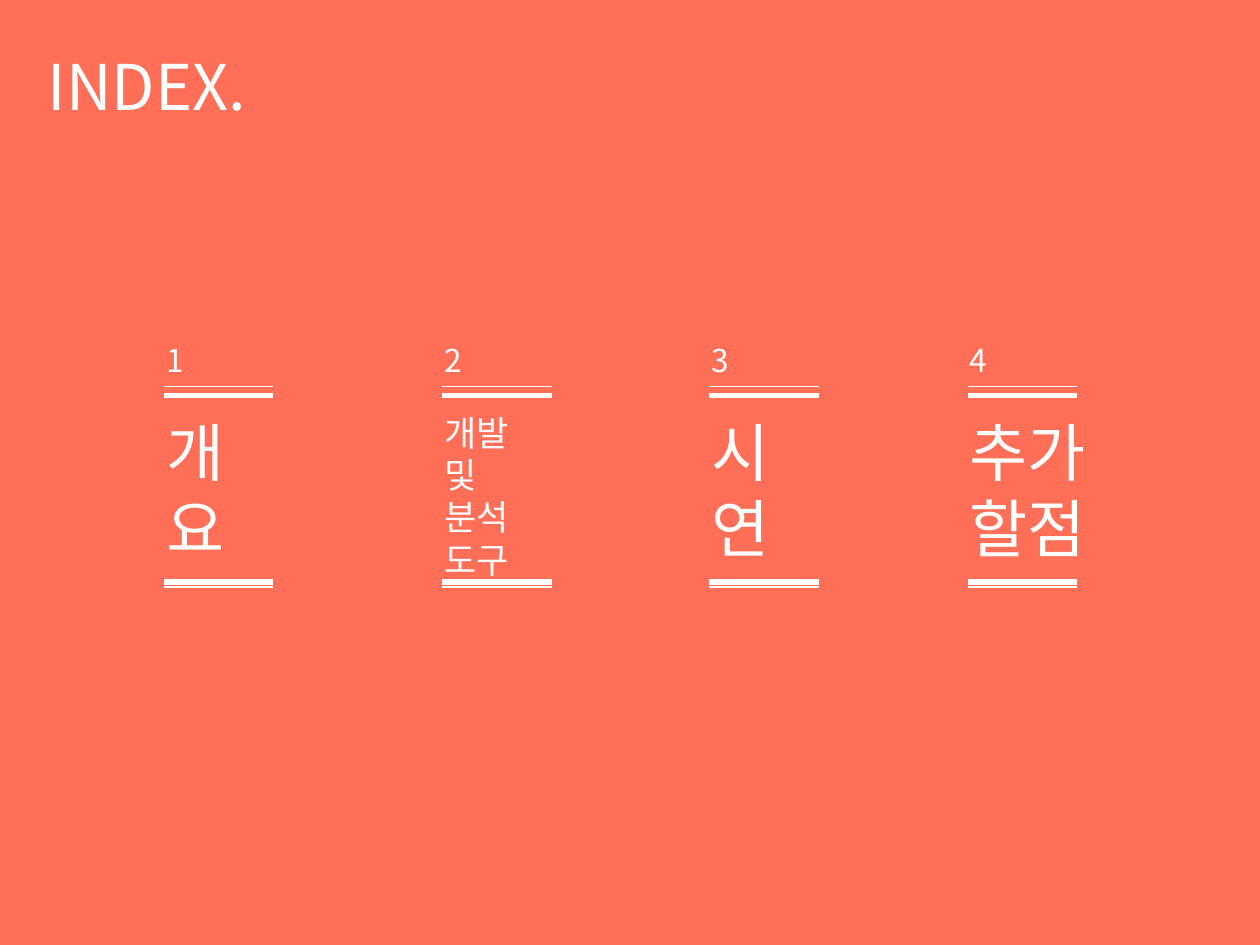
from lxml import etree
from pptx import Presentation, util as u
from pptx.dml.color import RGBColor
from pptx.enum import shapes
from pptx.oxml import ns

FONT = "Noto Sans CJK KR"
CORAL, WHITE = "FF6E57", "FFFFFF"
LEADING = 1.2
COLUMN_W, RULE_INSET, RULE_W = 1.26, 0.08, 0.87
COLUMN_TOP = 2.64
# Offset below the column top, line width
RULES = [(0.43, 0.75), (0.5, 3), (1.98, 3), (2.02, 0.75)]
# Left edge, text size, text height, lines
SECTIONS = [
    (1.22, 36, 1.31, ["개", "요"]),
    (3.43, 20, 1.45, ["개발", "및", "분석", "도구"]),
    (5.55, 36, 1.31, ["시", "연"]),
    (7.6, 36, 1.31, ["추가", "할점"]),
]


def color(hex_code):
    return RGBColor.from_string(hex_code)


def add_text(s, box, lines, size):
    sp = s.shapes.add_textbox(*map(u.Inches, box))
    tf = sp.text_frame
    tf.word_wrap = True
    # Tight leading lifts the first line, so lower it a little
    tf.margin_top = u.Inches(0.05) + u.Pt(size * 0.07)
    tf.text = "\n".join(lines)
    for p in tf.paragraphs:
        p.line_spacing = u.Pt(size * LEADING)
        p.font.size = u.Pt(size)
        p.font.name = FONT
        p.font.color.rgb = color(WHITE)
        for r in p.runs:
            r.font.name = FONT
            ea = etree.SubElement(r.font._element, ns.qn("a:ea"))
            ea.set("typeface", FONT)


def add_rule(s, left, top, width, weight):
    line = s.shapes.add_connector(
        shapes.MSO_CONNECTOR.STRAIGHT,
        *map(u.Inches, (left, top, left + width, top)))
    line.line.color.rgb = color(WHITE)
    line.line.width = u.Pt(weight)
    etree.SubElement(line._element.spPr, ns.qn("a:effectLst"))


def add_background(s, width, height):
    sp = s.shapes.add_shape(shapes.MSO_SHAPE.RECTANGLE, 0, 0, width, height)
    sp.shadow.inherit = False
    sp.fill.solid()
    sp.fill.fore_color.rgb = color(CORAL)
    sp.line.fill.background()


def add_section(s, left, top, number, size, height, lines):
    # Heading text
    add_text(s, (left, top + 0.56, COLUMN_W, height), lines, size)
    # Double rules above and below
    for offset, weight in RULES:
        add_rule(s, left + RULE_INSET, top + offset, RULE_W, weight)
    # Number
    add_text(s, (left, top, COLUMN_W, 0.4), [str(number)], 18)


def main():
    prs = Presentation()
    prs.slide_width, prs.slide_height = u.Inches(10), u.Inches(7.5)
    s = prs.slides.add_slide(prs.slide_layouts[6])

    add_background(s, prs.slide_width, prs.slide_height)
    add_text(s, (0.28, 0.29, 3.39, 0.71), ["INDEX."], 36)
    for number, (left, size, height, lines) in enumerate(SECTIONS, 1):
        add_section(s, left, COLUMN_TOP, number, size, height, lines)

    prs.save("out.pptx")


if __name__ == "__main__":
    main()
